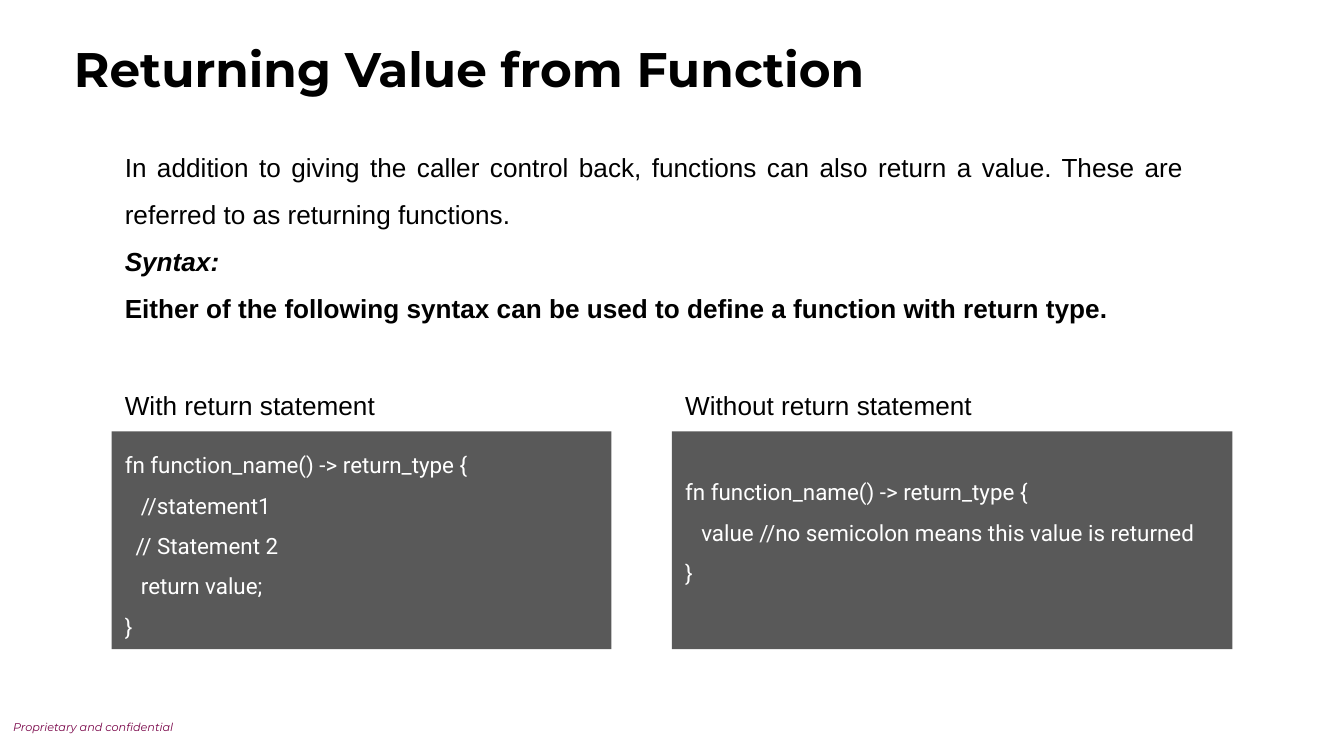
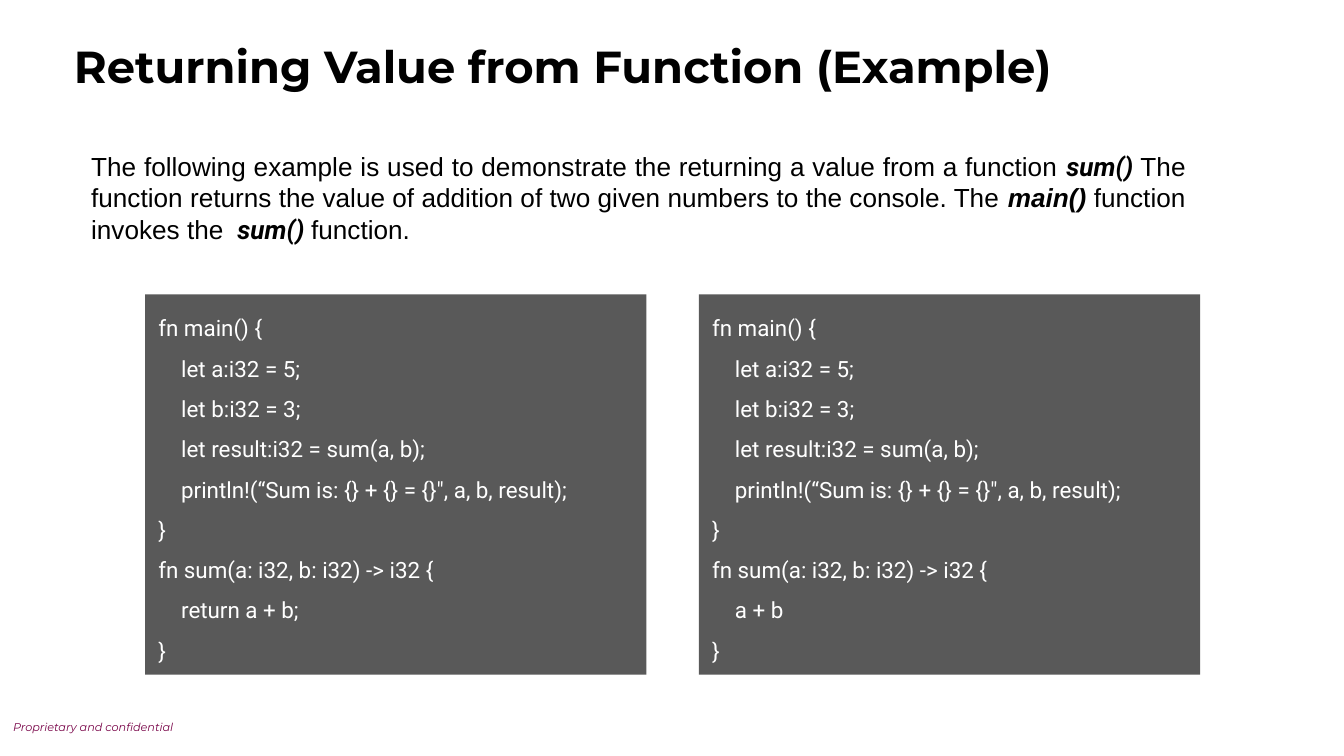
from dataclasses import dataclass

from pptx import Presentation
from pptx.dml.color import RGBColor
from pptx.enum.shapes import MSO_SHAPE
from pptx.enum.text import MSO_ANCHOR, PP_ALIGN
from pptx.util import Inches, Pt

RECT = MSO_SHAPE.RECTANGLE
TOP = MSO_ANCHOR.TOP
LEFT, JUSTIFY = PP_ALIGN.LEFT, PP_ALIGN.JUSTIFY

COLORS = {
    "text": "000000",
    "code": "FFFFFF",
    "code_box": "595959",
    "footer": "770046",
}
HEAD_FONT, BODY_FONT, CODE_FONT = "Montserrat", "Arial", "Roboto"


@dataclass(frozen=True)
class Run:
    text: str
    font: str = BODY_FONT
    size: int = 14
    color: str = "text"
    bold: bool = False
    italic: bool = False


@dataclass(frozen=True)
class Para:
    runs: tuple[Run, ...]
    align: PP_ALIGN = LEFT
    spacing: float = 1.0
    indent: float = 0.0


@dataclass(frozen=True)
class Box:
    left: float
    top: float
    width: float
    height: float


@dataclass(frozen=True)
class CodeLine:
    text: str
    indent: float = 0.0


@dataclass(frozen=True)
class CodeBlock:
    box: Box
    lines: tuple[CodeLine, ...]
    inset_top: float = 0.05


# Text shared by every text box and code box
def fill_text(tf, paras: list[Para], inset_x: float = 0.1,
              inset_top: float = 0.05, inset_bottom: float = 0.05) -> None:
    tf.word_wrap = True
    tf.vertical_anchor = TOP
    tf.margin_left = tf.margin_right = Inches(inset_x)
    tf.margin_top, tf.margin_bottom = Inches(inset_top), Inches(inset_bottom)
    for i, para in enumerate(paras):
        p = tf.paragraphs[0] if i == 0 else tf.add_paragraph()
        p.alignment = para.align
        p.line_spacing = para.spacing
        if para.indent:
            pPr = p._p.get_or_add_pPr()
            pPr.set("marL", str(Inches(para.indent)))
            pPr.set("indent", "0")
        for run in para.runs:
            r = p.add_run()
            r.text = run.text
            r.font.name = run.font
            r.font.size = Pt(run.size)
            r.font.bold = run.bold
            r.font.italic = run.italic
            r.font.color.rgb = RGBColor.from_string(COLORS[run.color])


def place(box: Box) -> tuple:
    return (Inches(box.left), Inches(box.top),
            Inches(box.width), Inches(box.height))


def add_text(s, box: Box, paras: list[Para], inset_x: float = 0.1,
             inset_y: float = 0.05) -> None:
    tf = s.shapes.add_textbox(*place(box)).text_frame
    fill_text(tf, paras, inset_x, inset_y, inset_y)


def add_code(s, block: CodeBlock) -> None:
    sp = s.shapes.add_shape(RECT, *place(block.box))
    sp.shadow.inherit = False
    sp.fill.solid()
    sp.fill.fore_color.rgb = RGBColor.from_string(COLORS["code_box"])
    sp.line.fill.background()
    paras = [Para((Run(line.text, CODE_FONT, 12, "code"),),
                  spacing=1.5, indent=line.indent) for line in block.lines]
    fill_text(sp.text_frame, paras, inset_top=block.inset_top)


# Blank slide with the common footer and title
def add_slide(prs, title: str, title_size: int, title_width: float):
    s = prs.slides.add_slide(prs.slide_layouts[6])
    footer = Run("Proprietary and confidential", HEAD_FONT, 6, "footer",
                 italic=True)
    add_text(s, Box(0, 5.31, 1.83, 0.3), [Para((footer,))], inset_y=0.1)
    heading = Run(title, HEAD_FONT, title_size, bold=True)
    add_text(s, Box(0.51, 0.25, title_width, 0.51), [Para((heading,))],
             inset_x=0.04, inset_y=0.04)
    return s


# Slide 1: the two forms of syntax
def syntax_slide(prs) -> None:
    s = add_slide(prs, "Returning Value from Function", 26, 7.83)
    intro = (
        Run("In addition to giving the caller control back, functions can "
            "also return a value. These are referred to as returning "
            "functions."),
        Run("Syntax:", bold=True, italic=True),
        Run("Either of the following syntax can be used to define a function "
            "with return type.", bold=True),
    )
    add_text(s, Box(0.83, 0.96, 8.08, 1.51),
             [Para((run,), JUSTIFY, 1.5) for run in intro])

    signature = CodeLine("fn function_name() -> return_type {")
    end = CodeLine("}")
    forms = {
        "With return statement": CodeBlock(
            Box(0.83, 3.21, 3.72, 1.62),
            (signature, CodeLine("//statement1", 0.12),
             CodeLine("// Statement 2", 0.08),
             CodeLine("return value;", 0.12), end)),
        "Without return statement": CodeBlock(
            Box(5, 3.21, 4.17, 1.62),
            (signature,
             CodeLine("value //no semicolon means this value is returned",
                      0.12), end),
            inset_top=0.25),
    }
    for block in forms.values():
        add_code(s, block)
    for label, block in forms.items():
        add_text(s, Box(block.box.left, 2.73, 3.59, 0.42),
                 [Para((Run(label),), spacing=1.5)])


# Slide 2: the same program in both forms
def example_slide(prs) -> None:
    s = add_slide(prs, "Returning Value from Function (Example)", 24, 9.38)
    intro = (
        Run("The following example is used to demonstrate the returning a "
            "value from a function "),
        Run("sum() ", CODE_FONT, bold=True, italic=True),
        Run("The function returns the value of addition of two given numbers "
            "to the console. The "),
        Run("main()", bold=True, italic=True),
        Run(" function invokes the "),
        Run(" sum() ", CODE_FONT, bold=True, italic=True),
        Run("function."),
    )
    add_text(s, Box(0.58, 1.07, 8.34, 0.81), [Para(intro, JUSTIFY)])

    step = 0.17
    end = CodeLine("}")
    main_body = ("let a:i32 = 5;", "let b:i32 = 3;",
                 "let result:i32 = sum(a, b);",
                 "println!(“Sum is: {} + {} = {}\", a, b, result);")
    shared = (CodeLine("fn main() {"),
              *(CodeLine(text, step) for text in main_body), end,
              CodeLine("fn sum(a: i32, b: i32) -> i32 {"))
    for left, result in ((1.08, "return a + b;"), (5.2, "a + b")):
        add_code(s, CodeBlock(Box(left, 2.19, 3.73, 2.83),
                              (*shared, CodeLine(result, step), end)))


def main() -> None:
    prs = Presentation()
    # Widescreen, 16:9
    prs.slide_width = Inches(10)
    prs.slide_height = Inches(10 * 9 / 16)
    syntax_slide(prs)
    example_slide(prs)
    prs.save("out.pptx")


if __name__ == "__main__":
    main()
